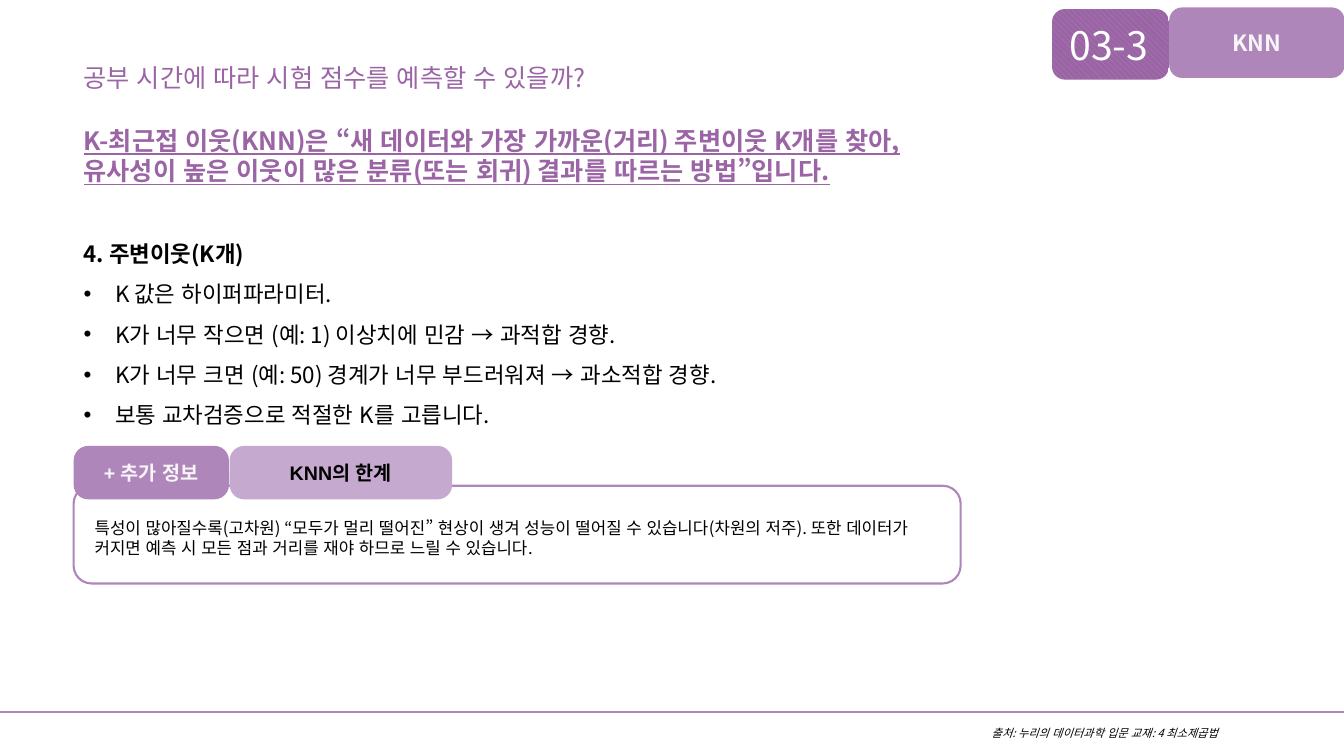
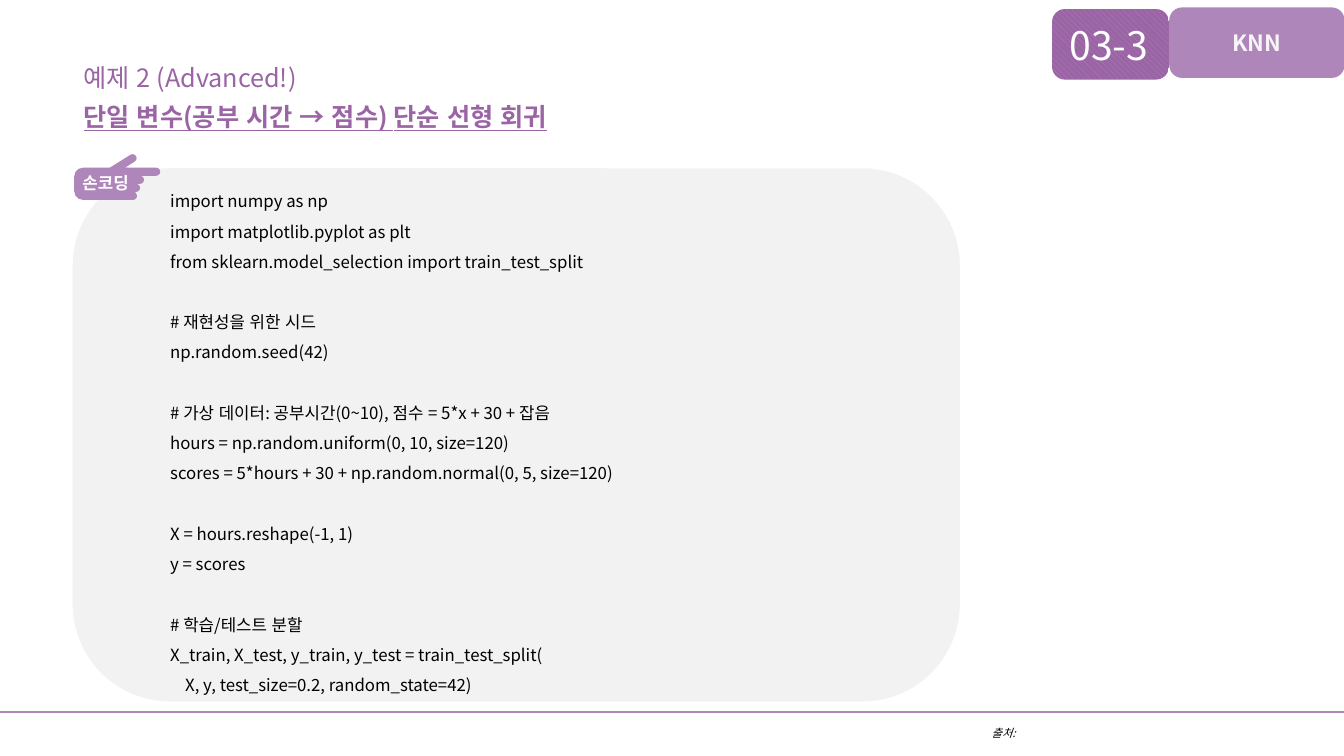
from dataclasses import dataclass
from typing import Any, Optional

from lxml.etree import SubElement
from pptx import Presentation
from pptx.dml.color import RGBColor
from pptx.enum.dml import MSO_PATTERN
from pptx.enum.lang import MSO_LANGUAGE_ID
from pptx.enum.shapes import MSO_CONNECTOR, MSO_SHAPE
from pptx.enum.text import MSO_ANCHOR, MSO_AUTO_SIZE, PP_ALIGN
from pptx.oxml.ns import qn
from pptx.util import Pt

FONT = "Noto Sans CJK KR"
LABEL_FONT = "Arial"
COLORS = {
    "purple": "9A64A5",
    "lilac": "AF86BA",
    "pale_lilac": "C5A9CF",
    "rule": "AF85B9",
    "panel": "F2F2F2",
    "off_white": "F8F5F9",
    "white": "FFFFFF",
    "black": "000000",
}
SLIDE_WIDTH, SLIDE_HEIGHT = 960, 540
LEFT = 52.6
BODY_WIDTH = 633.6
TAB_ROUNDING = 0.183
LABEL_ROUNDING = 0.273
BULLET_INDENT = 22.5
CODE_LINE = 21.6
CODE_INDENT = 10.75


@dataclass(frozen=True)
class Box:
    left: float
    top: float
    width: float
    height: float


@dataclass(frozen=True)
class Style:
    size: float
    color: str = "black"
    bold: bool = False
    italic: bool = False
    underline: bool = False
    font: str = FONT


@dataclass(frozen=True)
class Line:
    text: str
    style: Style
    spacing: float = 1.0
    space_before: float = 0
    indent: float = 0
    bullet: bool = False


@dataclass(frozen=True)
class Label:
    box: Box
    fill: str
    text: str
    color: str


TITLE = Style(18, "purple")
KEY_STATEMENT = Style(18, "purple", bold=True, underline=True)
HEADING = Style(16, bold=True)
BODY = Style(16)
SMALL = Style(12)
SOURCE = Style(8, italic=True)

POINTS = [
    "K 값은 하이퍼파라미터.",
    "K가 너무 작으면 (예: 1) 이상치에 민감 → 과적합 경향.",
    "K가 너무 크면 (예: 50) 경계가 너무 부드러워져 → 과소적합 경향.",
    "보통 교차검증으로 적절한 K를 고릅니다.",
]
INFO_LABELS = [
    Label(Box(LEFT, 318.5, 111, 38.2), "lilac", "+ 추가 정보", "off_white"),
    Label(Box(164, 318.5, 159, 38.2), "pale_lilac", "KNN의 한계", "black"),
]
CODE_BLOCKS = [
    [
        "import numpy as np",
        "import matplotlib.pyplot as plt",
        "from sklearn.model_selection import train_test_split",
    ],
    ["# 재현성을 위한 시드", "np.random.seed(42)"],
    [
        "# 가상 데이터: 공부시간(0~10), 점수 = 5*x + 30 + 잡음",
        "hours = np.random.uniform(0, 10, size=120)",
        "scores = 5*hours + 30 + np.random.normal(0, 5, size=120)",
    ],
    ["X = hours.reshape(-1, 1)", "y = scores"],
    [
        "# 학습/테스트 분할",
        "X_train, X_test, y_train, y_test = train_test_split(",
        "\tX, y, test_size=0.2, random_state=42)",
    ],
]


def rgb(name: str) -> RGBColor:
    return RGBColor.from_string(COLORS[name])


def style_runs(paragraph: Any, style: Style) -> None:
    for run in paragraph.runs:
        font = run.font
        font.name = style.font
        font.size = Pt(style.size)
        font.color.rgb = rgb(style.color)
        font.bold = style.bold
        font.italic = style.italic
        font.underline = style.underline
        font.language_id = MSO_LANGUAGE_ID.KOREAN
        SubElement(run._r.get_or_add_rPr(), qn("a:ea"), typeface=FONT)


def indent_paragraph(paragraph: Any, indent: float, bullet: bool) -> None:
    """Set the left margin, with a hanging bullet if asked for."""
    properties = paragraph._p.get_or_add_pPr()
    properties.set("marL", str(Pt(indent)))
    if bullet:
        properties.set("indent", str(-Pt(indent)))
        SubElement(properties, qn("a:buFont"), typeface="Arial")
        SubElement(properties, qn("a:buChar"), char="•")


def add_text(slide: Any, box: Box, lines: list[Line], wrap: bool = True) -> None:
    shape = slide.shapes.add_textbox(
        Pt(box.left), Pt(box.top), Pt(box.width), Pt(box.height)
    )
    frame = shape.text_frame
    frame.word_wrap = wrap
    frame.auto_size = MSO_AUTO_SIZE.SHAPE_TO_FIT_TEXT
    frame.text = "\n".join(line.text for line in lines)
    for paragraph, line in zip(frame.paragraphs, lines):
        paragraph.line_spacing = line.spacing
        if line.space_before:
            paragraph.space_before = Pt(line.space_before)
        if line.indent:
            indent_paragraph(paragraph, line.indent, line.bullet)
        style_runs(paragraph, line.style)


def add_rounded(
    shapes: Any, box: Box, fill: str, rounding: float, outline: Optional[str] = None
) -> Any:
    shape = shapes.add_shape(
        MSO_SHAPE.ROUNDED_RECTANGLE,
        Pt(box.left), Pt(box.top), Pt(box.width), Pt(box.height),
    )
    shape.adjustments[0] = rounding
    shape.shadow.inherit = False
    shape.fill.solid()
    shape.fill.fore_color.rgb = rgb(fill)
    if outline:
        shape.line.color.rgb = rgb(outline)
        shape.line.width = Pt(1.5)
    else:
        shape.line.fill.background()
    return shape


def add_label(slide: Any, label: Label) -> None:
    shape = add_rounded(slide.shapes, label.box, label.fill, LABEL_ROUNDING)
    frame = shape.text_frame
    frame.text = label.text
    frame.vertical_anchor = MSO_ANCHOR.MIDDLE
    paragraph = frame.paragraphs[0]
    paragraph.alignment = PP_ALIGN.CENTER
    style_runs(paragraph, Style(14, label.color, bold=True, font=LABEL_FONT))


def add_chapter_tabs(slide: Any) -> None:
    number_tab = add_rounded(
        slide.shapes, Box(751.5, 6.5, 83.5, 50.4), "purple", TAB_ROUNDING
    )
    number_tab.fill.patterned()
    number_tab.fill.pattern = MSO_PATTERN.WIDE_DOWNWARD_DIAGONAL
    number_tab.fill.fore_color.rgb = rgb("lilac")
    number_tab.fill.back_color.rgb = rgb("purple")
    add_rounded(slide.shapes, Box(835.2, 5.3, 125.3, 50.4), "lilac", TAB_ROUNDING)
    add_text(slide, Box(756.7, 11.5, 78.5, 41), [Line("03-3", Style(28, "white"))])
    add_text(
        slide,
        Box(873.4, 17.3, 54, 26.6),
        [Line("KNN", Style(16, "off_white", bold=True))],
    )


def add_footer(slide: Any, source: str) -> None:
    rule = slide.shapes.add_connector(
        MSO_CONNECTOR.STRAIGHT, 0, Pt(508.3), Pt(SLIDE_WIDTH), Pt(508.3)
    )
    rule.line.color.rgb = rgb("rule")
    rule.line.width = Pt(1.5)
    SubElement(rule._element.spPr, qn("a:effectLst"))
    add_text(slide, Box(701.3, 515.5, 259, 17.3), [Line(source, SOURCE)])


def add_chapter_slide(presentation: Any, title: str, source: str) -> Any:
    """Add a slide with the title, footer and tabs of the chapter."""
    slide = presentation.slides.add_slide(presentation.slide_layouts[6])
    add_text(slide, Box(LEFT, 30.2, 604, 36), [Line(title, TITLE, spacing=1.5)])
    add_footer(slide, source)
    add_chapter_tabs(slide)
    return slide


def add_pointing_hand(slide: Any) -> None:
    hand = slide.shapes.add_group_shape()
    add_rounded(hand.shapes, Box(53, 119.8, 43.9, 23), "lilac", LABEL_ROUNDING)
    thickness = 5.75
    fingers = [(85.7, 28.8), (84.2, 18.7), (85.7, 14.4), (85.7, 12.2)]
    for index, (left, length) in enumerate(fingers):
        top = 119.8 + index * thickness
        add_rounded(hand.shapes, Box(left, top, length, thickness), "lilac", 0.5)
    thumb = add_rounded(hand.shapes, Box(70.6, 116.2, 28.8, thickness), "lilac", 0.5)
    thumb.rotation = 327.9
    add_text(
        slide,
        Box(51.8, 120.2, 51.1, 21.6),
        [Line("손코딩", Style(12, "white", bold=True))],
        wrap=False,
    )


def code_lines() -> list[Line]:
    """Put a line's height before each block but the first; tabs become indents."""
    return [
        Line(
            text.lstrip("\t"),
            SMALL,
            spacing=1.5,
            space_before=CODE_LINE if block_index and not line_index else 0,
            indent=CODE_INDENT * text.count("\t"),
        )
        for block_index, block in enumerate(CODE_BLOCKS)
        for line_index, text in enumerate(block)
    ]


def add_neighbours_slide(presentation: Any) -> None:
    slide = add_chapter_slide(
        presentation,
        "공부 시간에 따라 시험 점수를 예측할 수 있을까?",
        "출처: 누리의 데이터과학 입문 교재: 4 최소제곱법",
    )
    statement = (
        "K-최근접 이웃(KNN)은 “새 데이터와 가장 가까운(거리) 주변이웃 K개를 찾아, "
        "유사성이 높은 이웃이 많은 분류(또는 회귀) 결과를 따르는 방법”입니다."
    )
    add_text(slide, Box(LEFT, 85.7, BODY_WIDTH, 51), [Line(statement, KEY_STATEMENT)])
    points = [
        Line(text, BODY, spacing=1.5, indent=BULLET_INDENT, bullet=True)
        for text in POINTS
    ]
    heading = Line("4. 주변이웃(K개)", HEADING, spacing=1.5)
    add_text(slide, Box(LEFT, 158.4, 698.4, 149), [heading, *points])
    add_rounded(
        slide.shapes, Box(LEFT, 347, BODY_WIDTH, 69.8), "white", TAB_ROUNDING, "lilac"
    )
    for label in INFO_LABELS:
        add_label(slide, label)
    limits = (
        "특성이 많아질수록(고차원) “모두가 멀리 떨어진” 현상이 생겨 성능이 떨어질 수 "
        "있습니다(차원의 저주). 또한 데이터가 커지면 예측 시 모든 점과 거리를 재야 "
        "하므로 느릴 수 있습니다."
    )
    add_text(slide, Box(60.5, 366.5, 617.8, 36), [Line(limits, SMALL)])


def add_code_slide(presentation: Any) -> None:
    slide = add_chapter_slide(presentation, "예제 2 (Advanced!)", "출처:")
    subtitle = "단일 변수(공부 시간 → 점수) 단순 선형 회귀"
    add_text(slide, Box(LEFT, 69.1, 604, 29), [Line(subtitle, KEY_STATEMENT)])
    add_rounded(
        slide.shapes, Box(52, 120.2, BODY_WIDTH, 380.9), "panel", TAB_ROUNDING
    )
    add_pointing_hand(slide)
    add_text(slide, Box(114.5, 125.7, 522.7, 375), code_lines())


def main() -> None:
    presentation = Presentation()
    presentation.slide_width = Pt(SLIDE_WIDTH)
    presentation.slide_height = Pt(SLIDE_HEIGHT)
    add_neighbours_slide(presentation)
    add_code_slide(presentation)
    presentation.save("out.pptx")


if __name__ == "__main__":
    main()
